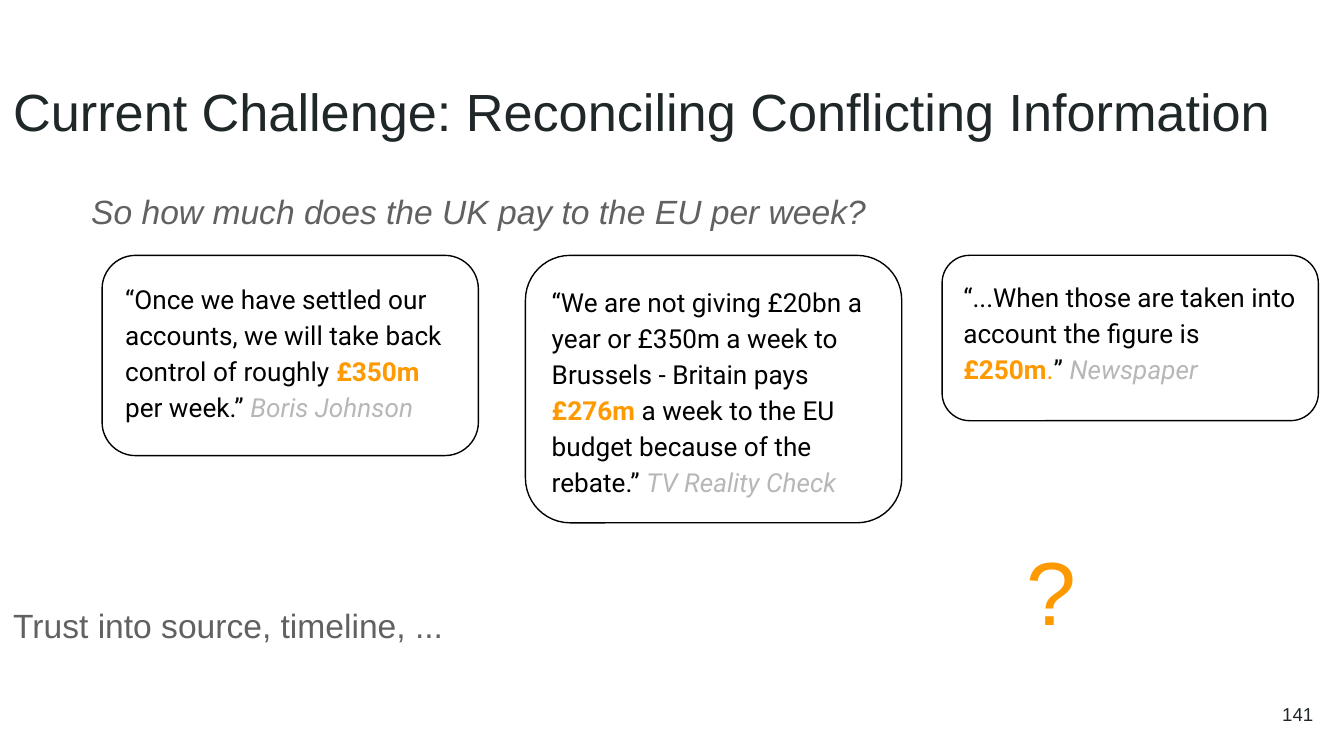
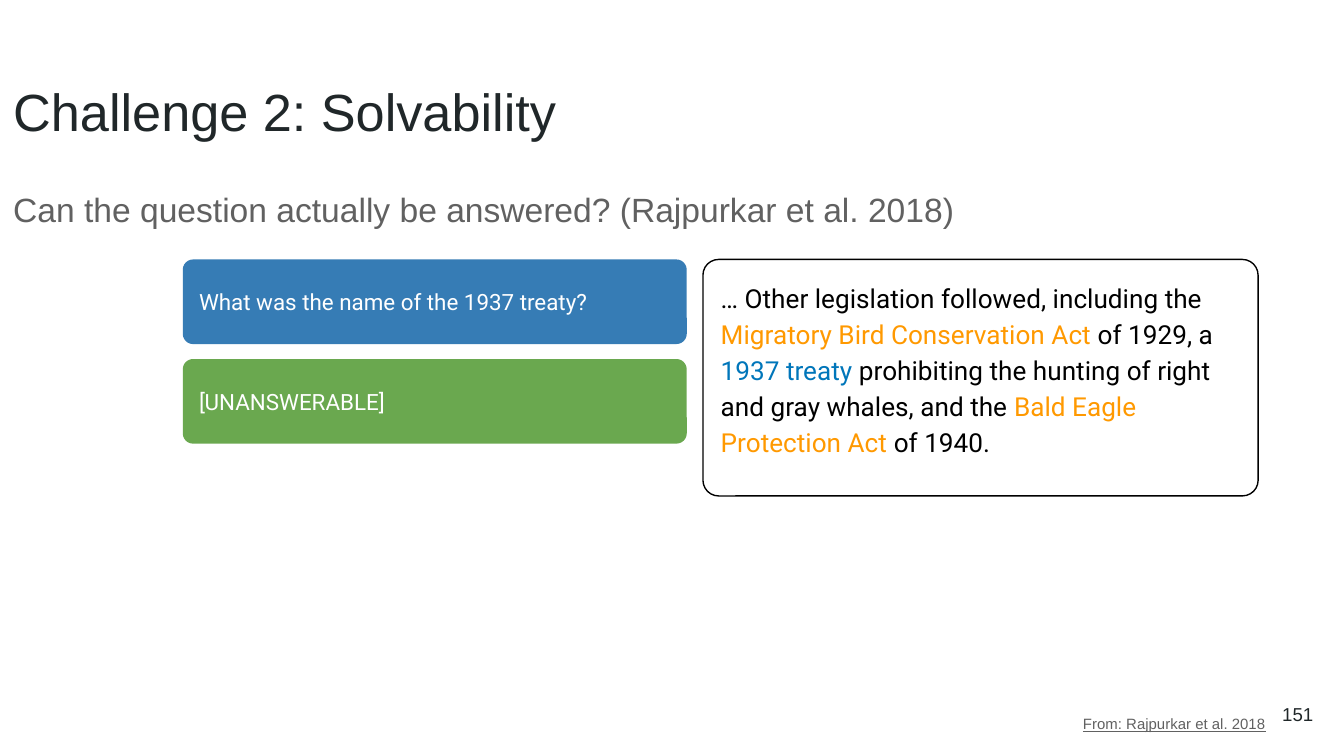
"""Builds two slides on open challenges in question answering."""
from pptx import Presentation
from pptx.dml.color import RGBColor
from pptx.enum.shapes import MSO_SHAPE as Shape
from pptx.enum.text import MSO_ANCHOR as Anchor, PP_ALIGN as Align
from pptx.util import Pt

WIDTH, HEIGHT, INSET = 720, 405, 7.2
INK, GREY, PALE = "202729", "616161", "B7B7B7"
BLACK, WHITE, ORANGE = "000000", "FFFFFF", "FF9900"
BLUE, GREEN, LINK_BLUE = "367CB5", "6AA84F", "0076BA"
HEAD_FONT, CARD_FONT = "Arial", "Roboto"

KEY_FIGURE = dict(color=ORANGE, bold=True)
SOURCE = dict(color=PALE, italic=True)

QUOTES = [
    (54.7, 107.3, [
        ("“Once we have settled our accounts, we will take back control of roughly ", {}),
        ("£350m", KEY_FIGURE), (" per week.” ", {}), ("Boris Johnson", SOURCE)]),
    (281.5, 143.3, [
        ("“We are not giving £20bn a year or £350m a week to Brussels - Britain pays ", {}),
        ("£276m ", KEY_FIGURE), ("a week to the EU budget because of the rebate.” ", {}),
        ("TV Reality Check", SOURCE)]),
    (504.7, 88.6, [
        ("“...When those are taken into account the figure is ", {}),
        ("£250m", KEY_FIGURE), (".", dict(color=ORANGE)), ("” ", {}),
        ("Newspaper", SOURCE)]),
]
PASSAGE = [
    ("… Other legislation followed, including the ", {}),
    ("Migratory Bird Conservation Act", dict(color=ORANGE)),
    (" of 1929, a ", {}),
    ("1937 treaty", dict(color=LINK_BLUE)),
    (" prohibiting the hunting of right and gray whales, and the ", {}),
    ("Bald Eagle Protection Act", dict(color=ORANGE)),
    (" of 1940.", {}),
]
ANSWERS = [("What was the name of the 1937 treaty?", BLUE), ("[UNANSWERABLE]", GREEN)]


def rgb(value):
    """Turn a hex string into a colour."""
    return RGBColor.from_string(value)


def write(holder, text, size=18, color=GREY, font=HEAD_FONT, italic=False, underline=False,
          align=Align.LEFT, anchor=Anchor.TOP, spacing=None, after=None):
    """Write a string, or (string, format) runs, into a shape as one paragraph."""
    frame = holder.text_frame
    frame.word_wrap = True
    frame.vertical_anchor = anchor
    frame.margin_left = frame.margin_right = Pt(INSET)
    frame.margin_top = frame.margin_bottom = Pt(INSET)
    paragraph = frame.paragraphs[0]
    paragraph.alignment = align
    if spacing:
        paragraph.line_spacing = spacing
    if after:
        paragraph.space_after = Pt(after)
    for words, style in [(text, {})] if isinstance(text, str) else text:
        run = paragraph.add_run()
        run.text = words
        run.font.name = font
        run.font.size = Pt(size)
        run.font.color.rgb = rgb(style.get("color", color))
        run.font.bold = style.get("bold", False)
        run.font.italic = style.get("italic", italic)
        run.font.underline = underline


def add_label(slide, box, text, **style):
    """Place plain text in a box."""
    write(slide.shapes.add_textbox(*map(Pt, box)), text, **style)


def add_card(slide, box, text, rounding, fill=None, **style):
    """Place a rounded card, filled or outlined, with its text."""
    card = slide.shapes.add_shape(Shape.ROUNDED_RECTANGLE, *map(Pt, box))
    card.adjustments[0] = rounding
    card.shadow.inherit = False
    if fill:
        card.fill.solid()
        card.fill.fore_color.rgb = rgb(fill)
        card.line.fill.background()
    else:
        card.fill.background()
        card.line.color.rgb = rgb(BLACK)
        card.line.width = Pt(0.75)
    write(card, text, font=CARD_FONT, **style)


def add_base(deck, title, number, title_width):
    """Add a white slide with its title and page number."""
    slide = deck.slides.add_slide(deck.slide_layouts[6])
    slide.background.fill.solid()
    slide.background.fill.fore_color.rgb = rgb(WHITE)
    add_label(slide, (667.4, 367.2, 43.2, 31), number, size=10, color=INK,
              align=Align.RIGHT, anchor=Anchor.MIDDLE)
    add_label(slide, (0, 35.3, title_width, 45.4), title, size=28, color=INK)
    return slide


def add_quotes(slide, top, width):
    """Hang the quote cards from one top edge."""
    for left, height, quote in QUOTES:
        add_card(slide, (left, top, width, height), quote, 0.167,
                 size=14, color=BLACK, spacing=1.15)


def add_answers(slide, box, gap):
    """Stack the question and its answer to fill the box."""
    left, top, width, height = box
    bar = (height - gap * (len(ANSWERS) - 1)) / len(ANSWERS)
    for row, (text, fill) in enumerate(ANSWERS):
        add_card(slide, (left, top + row * (bar + gap), width, bar), text, 0.122,
                 fill=fill, size=12, color=WHITE, anchor=Anchor.MIDDLE)


def build_conflict(deck):
    """Build the slide on conflicting information."""
    slide = add_base(deck, "Current Challenge: Reconciling Conflicting Information", "141", 706.3)
    spaced = dict(spacing=1.15, after=16)
    add_label(slide, (0, 313.9, 473.8, 45.4), "Trust into source, timeline, ...", **spaced)
    add_quotes(slide, 136.8, 201.6)
    add_label(slide, (542.9, 282.2, 52.6, 59), "?", size=48, color=ORANGE,
              anchor=Anchor.MIDDLE, **spaced)
    add_label(slide, (41.8, 93.6, 463, 36), "So how much does the UK pay to the EU per week?",
              italic=True, anchor=Anchor.MIDDLE, **spaced)


def build_solvability(deck):
    """Build the slide on unanswerable questions."""
    slide = add_base(deck, "Challenge 2: Solvability", "151", 671)
    add_label(slide, (0, 90.7, 671, 39.6),
              "Can the question actually be answered? (Rajpurkar et al. 2018)", spacing=1.15)
    add_card(slide, (376.6, 139, 297.4, 126.7), PASSAGE, 0.066,
             size=14, color=BLACK, spacing=1.15)
    add_answers(slide, (97.9, 139, 270, 98.7), 8)
    add_label(slide, (573.1, 378, 146.9, 18), "From: Rajpurkar et al. 2018", size=8,
              underline=True, anchor=Anchor.MIDDLE, spacing=1.15, after=16)


def main():
    """Build and save the deck."""
    deck = Presentation()
    deck.slide_width, deck.slide_height = Pt(WIDTH), Pt(HEIGHT)
    build_conflict(deck)
    build_solvability(deck)
    deck.save("out.pptx")


if __name__ == "__main__":
    main()
